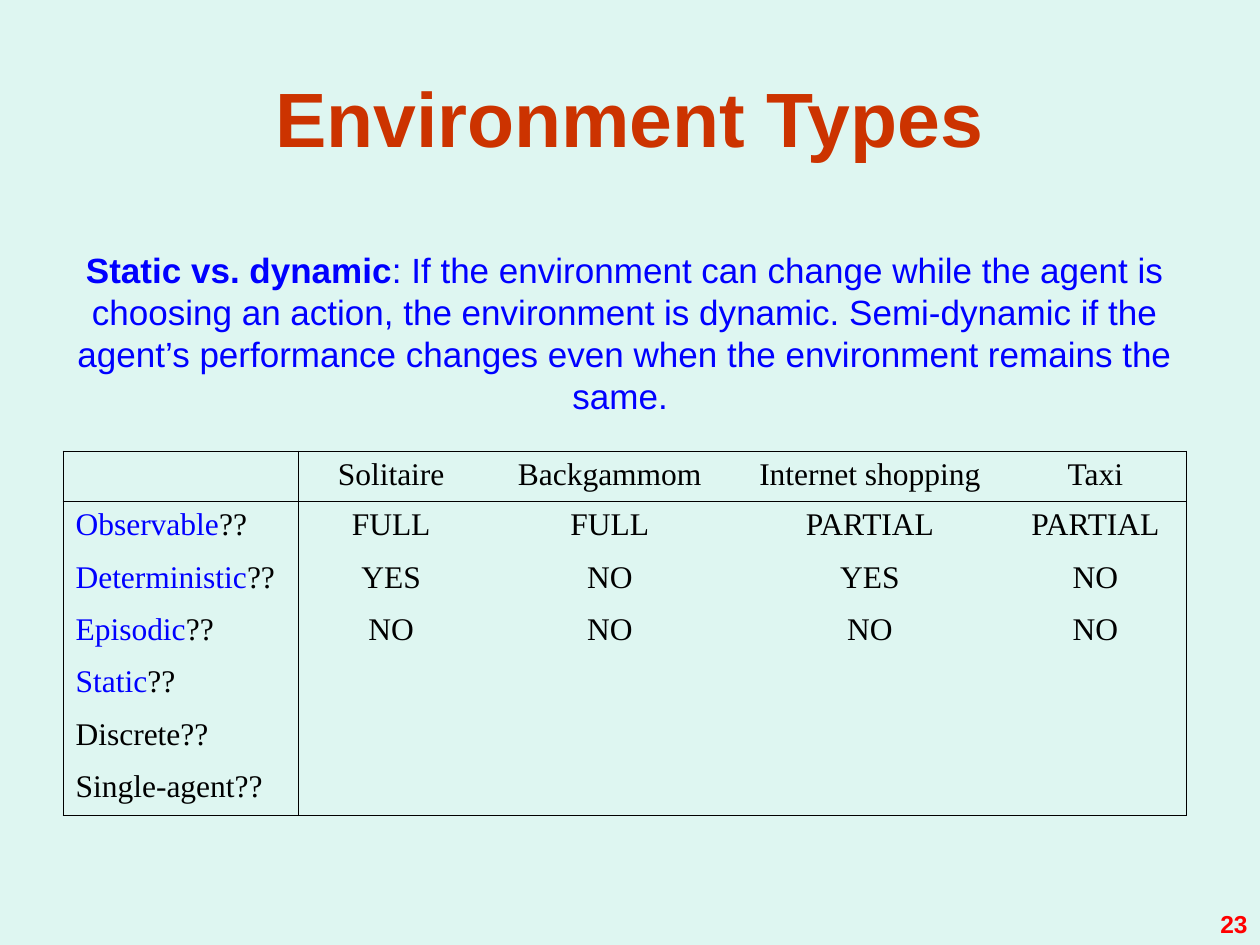
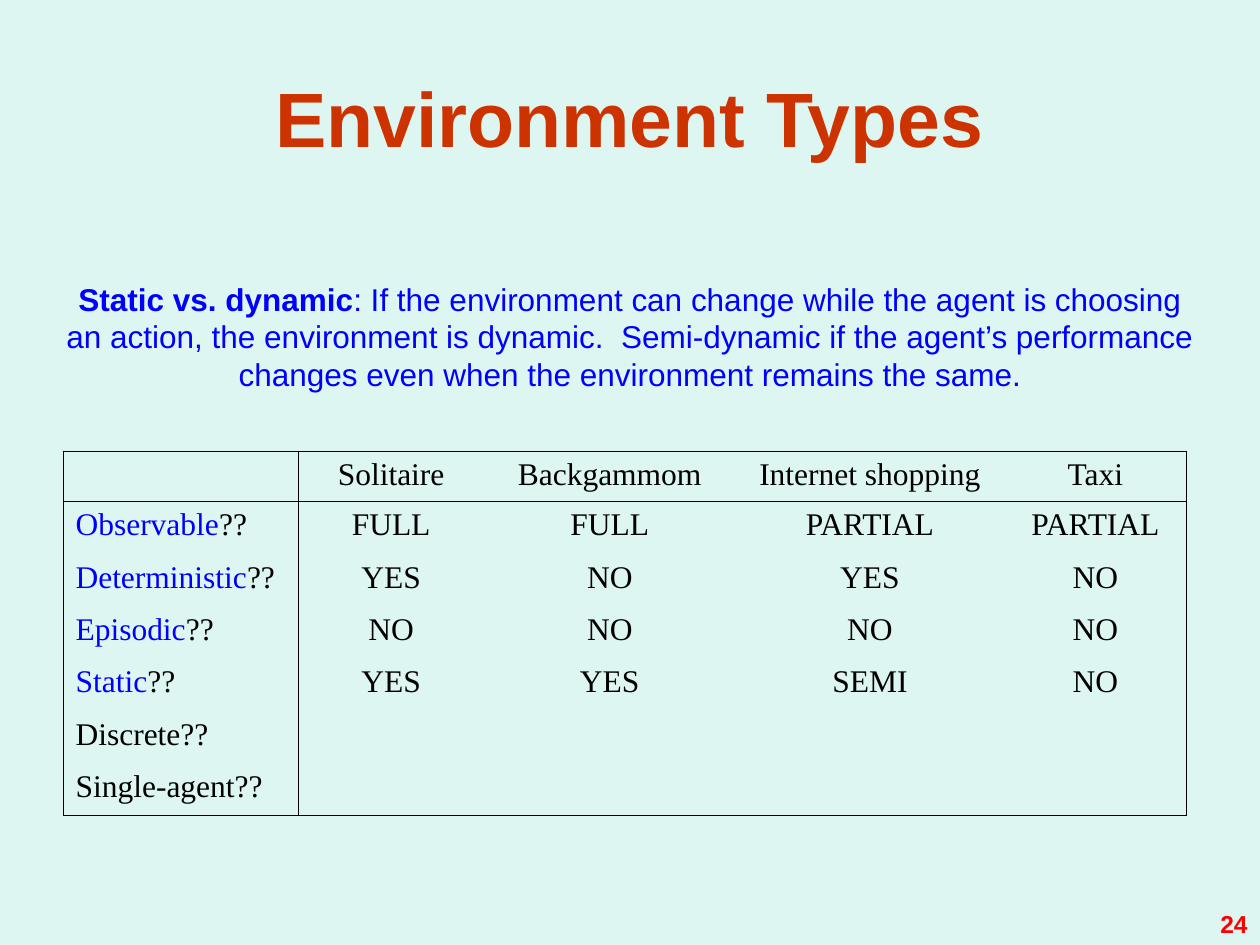
from lxml import etree
from pptx import Presentation
from pptx.dml.color import RGBColor
from pptx.enum.text import MSO_ANCHOR, MSO_AUTO_SIZE, PP_ALIGN
from pptx.oxml.ns import qn
from pptx.util import Inches, Pt

LEFT, CENTER, RIGHT = PP_ALIGN.LEFT, PP_ALIGN.CENTER, PP_ALIGN.RIGHT
TOP, MIDDLE, BOTTOM = MSO_ANCHOR.TOP, MSO_ANCHOR.MIDDLE, MSO_ANCHOR.BOTTOM
FIT_SHAPE = MSO_AUTO_SIZE.SHAPE_TO_FIT_TEXT

COLORS = {
    "background": "DEF6F1",
    "title": "CC3300",
    "accent": "0000FF",
    "text": "000000",
    "number": "FF0000",
}
SANS = "Arial"
SERIF = "Times New Roman"
BLANK_LAYOUT = 6

COLUMN_WIDTHS = [1.87, 1.47, 2, 2.13, 1.45]
HEADER_HEIGHT = 0.4
TABLE_HEIGHT = 2.89
BORDER_WIDTH = 0.45
RULED_COLUMN_EDGES = {0, 1, len(COLUMN_WIDTHS)}

GAMES = ["Solitaire", "Backgammom", "Internet shopping", "Taxi"]
PROPERTIES = ["Observable", "Deterministic", "Episodic", "Static", "Discrete", "Single-agent"]
DEFINED_COUNT = 4
ANSWERS = [
    ["FULL", "FULL", "PARTIAL", "PARTIAL"],
    ["YES", "NO", "YES", "NO"],
    ["NO", "NO", "NO", "NO"],
]
STATIC_ANSWERS = ["YES", "YES", "SEMI", "NO"]


class Deck:
    def __init__(self):
        self.presentation = Presentation()
        self.presentation.slide_width = Inches(10)
        self.presentation.slide_height = Inches(7.5)
        fill = self.presentation.slide_master.background.fill
        fill.solid()
        fill.fore_color.rgb = RGBColor.from_string(COLORS["background"])
        self.slide = None

    def add_slide(self):
        layout = self.presentation.slide_layouts[BLANK_LAYOUT]
        self.slide = self.presentation.slides.add_slide(layout)

    def add_runs(self, paragraph, runs, size, font, align):
        paragraph.alignment = align
        for text, color, bold in runs:
            run = paragraph.add_run()
            run.text = text
            run.font.name = font
            run.font.size = Pt(size)
            run.font.bold = bold
            run.font.color.rgb = RGBColor.from_string(COLORS[color])

    def text(self, box, runs, size, align=CENTER, anchor=TOP, side_margin=0.1):
        shape = self.slide.shapes.add_textbox(*[Inches(length) for length in box])
        frame = shape.text_frame
        frame.word_wrap = True
        frame.vertical_anchor = anchor
        frame.margin_left = frame.margin_right = Inches(side_margin)
        self.add_runs(frame.paragraphs[0], runs, size, SANS, align)
        return frame

    def title(self, text):
        self.text((0.5, 0.3, 9, 1.25), [(text, "title", True)], 44, anchor=MIDDLE)

    def definition(self, box, term, meaning, size):
        runs = [(term, "accent", True), (meaning, "accent", False)]
        self.text(box, runs, size, side_margin=0).auto_size = FIT_SHAPE

    def number(self, number):
        runs = [(str(number), "number", True)]
        self.text((7.67, 6.98, 2.33, 0.52), runs, 14, align=RIGHT, anchor=BOTTOM)

    def borders(self, cell, ruled_sides):
        properties = cell._tc.get_or_add_tcPr()
        for side, ruled in ruled_sides.items():
            line = etree.SubElement(properties, qn(f"a:ln{side}"), w=str(Pt(BORDER_WIDTH)))
            if ruled:
                fill = etree.SubElement(line, qn("a:solidFill"))
                etree.SubElement(fill, qn("a:srgbClr"), val=COLORS["text"])
            else:
                etree.SubElement(line, qn("a:noFill"))

    def table(self, rows):
        frame = self.slide.shapes.add_table(
            len(rows), len(COLUMN_WIDTHS), Inches(0.5), Inches(3.58),
            Inches(sum(COLUMN_WIDTHS)), Inches(TABLE_HEIGHT))
        table = frame.table
        table.first_row = table.horz_banding = False
        for column, width in zip(table.columns, COLUMN_WIDTHS):
            column.width = Inches(width)
        body_height = (TABLE_HEIGHT - HEADER_HEIGHT) / (len(rows) - 1)
        ruled_row_edges = {0, 1, len(rows)}
        for row_index, row in enumerate(rows):
            table.rows[row_index].height = Inches(body_height if row_index else HEADER_HEIGHT)
            for column_index, runs in enumerate(row):
                cell = table.cell(row_index, column_index)
                self.borders(cell, {
                    "L": column_index in RULED_COLUMN_EDGES,
                    "R": column_index + 1 in RULED_COLUMN_EDGES,
                    "T": row_index in ruled_row_edges,
                    "B": row_index + 1 in ruled_row_edges,
                })
                cell.fill.background()
                align = CENTER if column_index else LEFT
                self.add_runs(cell.text_frame.paragraphs[0], runs, 18, SERIF, align)


def plain(text):
    return [(text, "text", False)] if text else []


def environment_rows(answers):
    rows = [[plain(text) for text in ["", *GAMES]]]
    for index, name in enumerate(PROPERTIES):
        color = "accent" if index < DEFINED_COUNT else "text"
        label = [(name, color, False), ("??", "text", False)]
        values = answers[index] if index < len(answers) else [""] * len(GAMES)
        rows.append([label, *map(plain, values)])
    return rows


def main():
    meaning = (": If the environment can change while the agent is choosing an action, "
               "the environment is dynamic.{gap}Semi-dynamic if the agent’s performance "
               "changes even when the environment remains the same.")
    pages = [
        (23, (0.42, 1.92, 9.08, 1.44), 20, meaning.format(gap=" ") + " ", ANSWERS),
        (24, (0.5, 2.17, 9, 1), 18, meaning.format(gap="  "), [*ANSWERS, STATIC_ANSWERS]),
    ]
    deck = Deck()
    for number, box, size, sentence, answers in pages:
        deck.add_slide()
        deck.title("Environment Types")
        deck.table(environment_rows(answers))
        deck.definition(box, "Static vs. dynamic", sentence, size)
        deck.number(number)
    deck.presentation.save("out.pptx")


if __name__ == "__main__":
    main()
